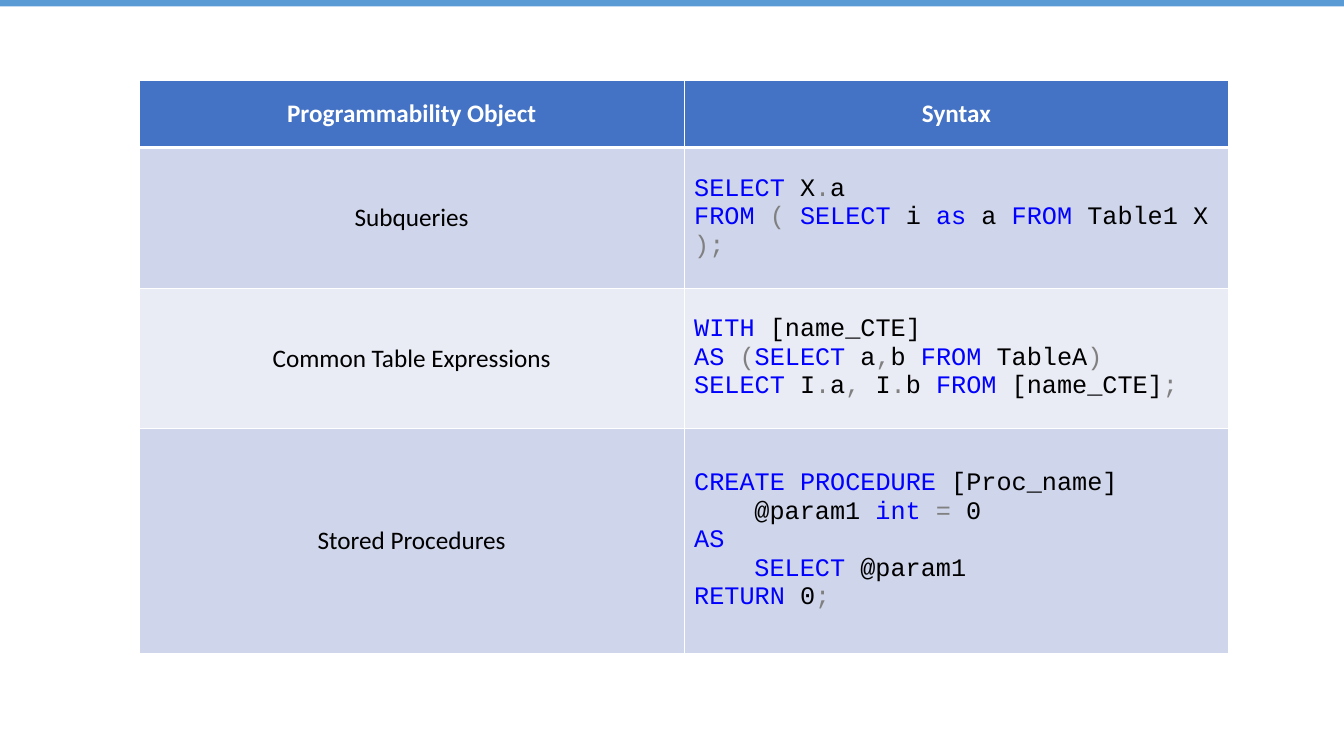
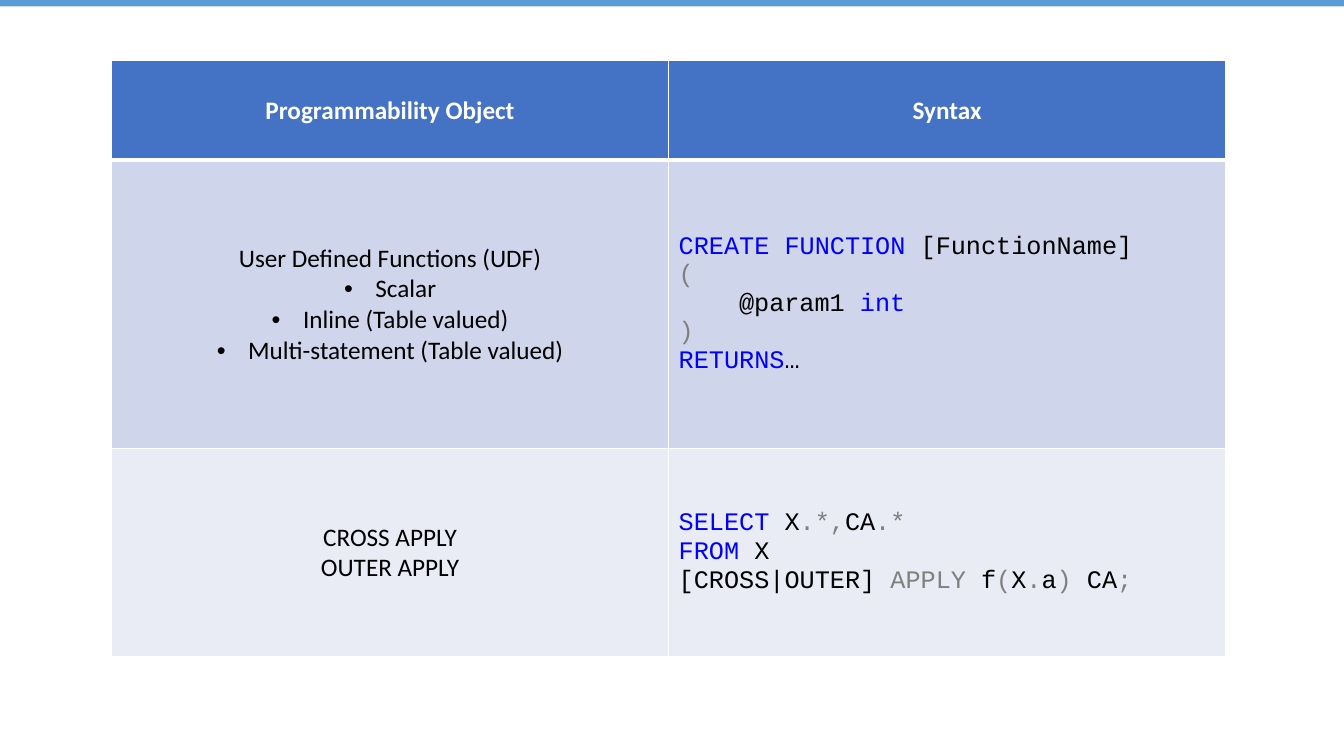
from itertools import groupby

from lxml import etree
from pptx import Presentation
from pptx.dml.color import RGBColor
from pptx.enum.shapes import MSO_SHAPE
from pptx.enum.text import MSO_ANCHOR, PP_ALIGN
from pptx.oxml.ns import qn
from pptx.util import Cm, Pt

RECTANGLE = MSO_SHAPE.RECTANGLE
MIDDLE = MSO_ANCHOR.MIDDLE
LEFT, CENTER = PP_ALIGN.LEFT, PP_ALIGN.CENTER

# Shared style
WHITE = RGBColor(0xFF, 0xFF, 0xFF)
BLACK = RGBColor(0x00, 0x00, 0x00)
BAND_BLUE = RGBColor(0x5B, 0x9B, 0xD5)
HEADER_BLUE = RGBColor(0x44, 0x72, 0xC4)
ROW_DARK = RGBColor(0xCF, 0xD5, 0xEA)
ROW_LIGHT = RGBColor(0xE9, 0xEB, 0xF5)
KEYWORD_BLUE = RGBColor(0x00, 0x00, 0xFF)
OPERATOR_GRAY = RGBColor(0x80, 0x80, 0x80)
BODY_FONT, CODE_FONT = "Calibri", "Courier New"
TEXT_SIZE = Pt(18)
CODE_INDENT = Cm(1.52)
BULLET_INDENT = Cm(0.79)

# SQL colouring rules
KEYWORDS = set("SELECT FROM as AS WITH CREATE PROCEDURE FUNCTION int RETURN RETURNS".split())
OPERATORS = {"APPLY"}
PUNCTUATION = ".,;()=*"

# Slide content: a leading tab marks an indented code line, "• " a bullet
HEADER = ("Programmability Object", "Syntax")
SLIDES = [
    {
        "left": 3.51, "top": 2.03, "column": 13.73,
        "heights": [1.69, 3.54, 3.54, 5.67],
        "rows": [
            (["Subqueries"],
             ["SELECT X.a", "FROM ( SELECT i as a FROM Table1 X );"]),
            (["Common Table Expressions"],
             ["WITH [name_CTE]", "AS (SELECT a,b FROM TableA)",
              "SELECT I.a, I.b FROM [name_CTE];"]),
            (["Stored Procedures"],
             ["CREATE PROCEDURE [Proc_name]", "\t@param1 int = 0", "AS",
              "\tSELECT @param1", "RETURN 0;"]),
        ],
    },
    {
        "left": 2.81, "top": 1.53, "column": 14.04,
        "heights": [2.51, 7.27, 5.24],
        "rows": [
            (["User Defined Functions (UDF)", "• Scalar",
              "• Inline (Table valued)", "• Multi-statement (Table valued)"],
             ["CREATE FUNCTION [FunctionName]", "(", "\t@param1 int", ")",
              "RETURNS…"]),
            (["CROSS APPLY", "OUTER APPLY"],
             ["SELECT X.*,CA.*", "FROM X", "[CROSS|OUTER] APPLY f(X.a) CA;"]),
        ],
    },
]


def split_code(line):
    """Split a line of SQL into (text, colour) runs."""
    def kind(char):
        if char.isalnum() or char in "_@[]|":
            return "word"
        return "punctuation" if char in PUNCTUATION else char

    runs = []
    for token_kind, chars in groupby(line, kind):
        token = "".join(chars)
        if token == " ":  # a space joins the run before it
            runs[-1] = (runs[-1][0] + token, runs[-1][1])
        elif token in KEYWORDS:
            runs.append((token, KEYWORD_BLUE))
        elif token_kind == "punctuation" or token in OPERATORS:
            runs.append((token, OPERATOR_GRAY))
        else:
            runs.append((token, BLACK))
    return runs


def write_lines(cell, lines, color=BLACK, bold=False, code=False):
    """Fill a cell with one paragraph a line."""
    cell.vertical_anchor = MIDDLE
    for index, line in enumerate(lines):
        frame = cell.text_frame
        paragraph = frame.add_paragraph() if index else frame.paragraphs[0]
        paragraph.alignment = LEFT if code else CENTER
        properties = paragraph._p.get_or_add_pPr()
        if line.startswith("\t"):
            properties.set("marL", str(CODE_INDENT))
        if line.startswith("• "):
            properties.set("marL", str(BULLET_INDENT))
            properties.set("indent", str(-BULLET_INDENT))
            etree.SubElement(properties, qn("a:buFont"), typeface="Arial")
            etree.SubElement(properties, qn("a:buChar"), char="•")
        text = line.removeprefix("\t").removeprefix("• ")
        for run_text, run_color in split_code(text) if code else [(text, color)]:
            run = paragraph.add_run()
            run.text = run_text
            run.font.name = CODE_FONT if code else BODY_FONT
            run.font.size = TEXT_SIZE
            run.font.bold = bold
            run.font.color.rgb = run_color


presentation = Presentation()
presentation.slide_width = Cm(33.87)
presentation.slide_height = Cm(19.05)
blank_layout = presentation.slide_layouts[6]

for content in SLIDES:
    slide = presentation.slides.add_slide(blank_layout)

    # Top band
    band = slide.shapes.add_shape(RECTANGLE, 0, 0, presentation.slide_width, Cm(0.16))
    band.shadow.inherit = False
    band.fill.solid()
    band.fill.fore_color.rgb = BAND_BLUE
    band.line.fill.background()

    # Table grid
    heights = content["heights"]
    table = slide.shapes.add_table(
        len(heights), 2, Cm(content["left"]), Cm(content["top"]),
        Cm(2 * content["column"]), Cm(sum(heights))).table
    for column in table.columns:
        column.width = Cm(content["column"])
    for row, height in zip(table.rows, heights):
        row.height = Cm(height)

    # Borders and fills, with a thick line below the header
    for row_index, row in enumerate(table.rows):
        fill = HEADER_BLUE if row_index == 0 else ROW_DARK if row_index % 2 else ROW_LIGHT
        widths = {"L": 1, "R": 1, "T": 3 if row_index == 1 else 1,
                  "B": 3 if row_index == 0 else 1}
        for cell in row.cells:
            properties = cell._tc.get_or_add_tcPr()
            for side, width in widths.items():
                line = etree.SubElement(properties, qn(f"a:ln{side}"), w=str(Pt(width)))
                line_fill = etree.SubElement(line, qn("a:solidFill"))
                etree.SubElement(line_fill, qn("a:srgbClr"), val=str(WHITE))
            cell.fill.solid()
            cell.fill.fore_color.rgb = fill

    # Cell text
    for column_index, heading in enumerate(HEADER):
        write_lines(table.cell(0, column_index), [heading], color=WHITE, bold=True)
    for row_index, (names, syntax) in enumerate(content["rows"], start=1):
        write_lines(table.cell(row_index, 0), names)
        write_lines(table.cell(row_index, 1), syntax, code=True)

presentation.save("out.pptx")
